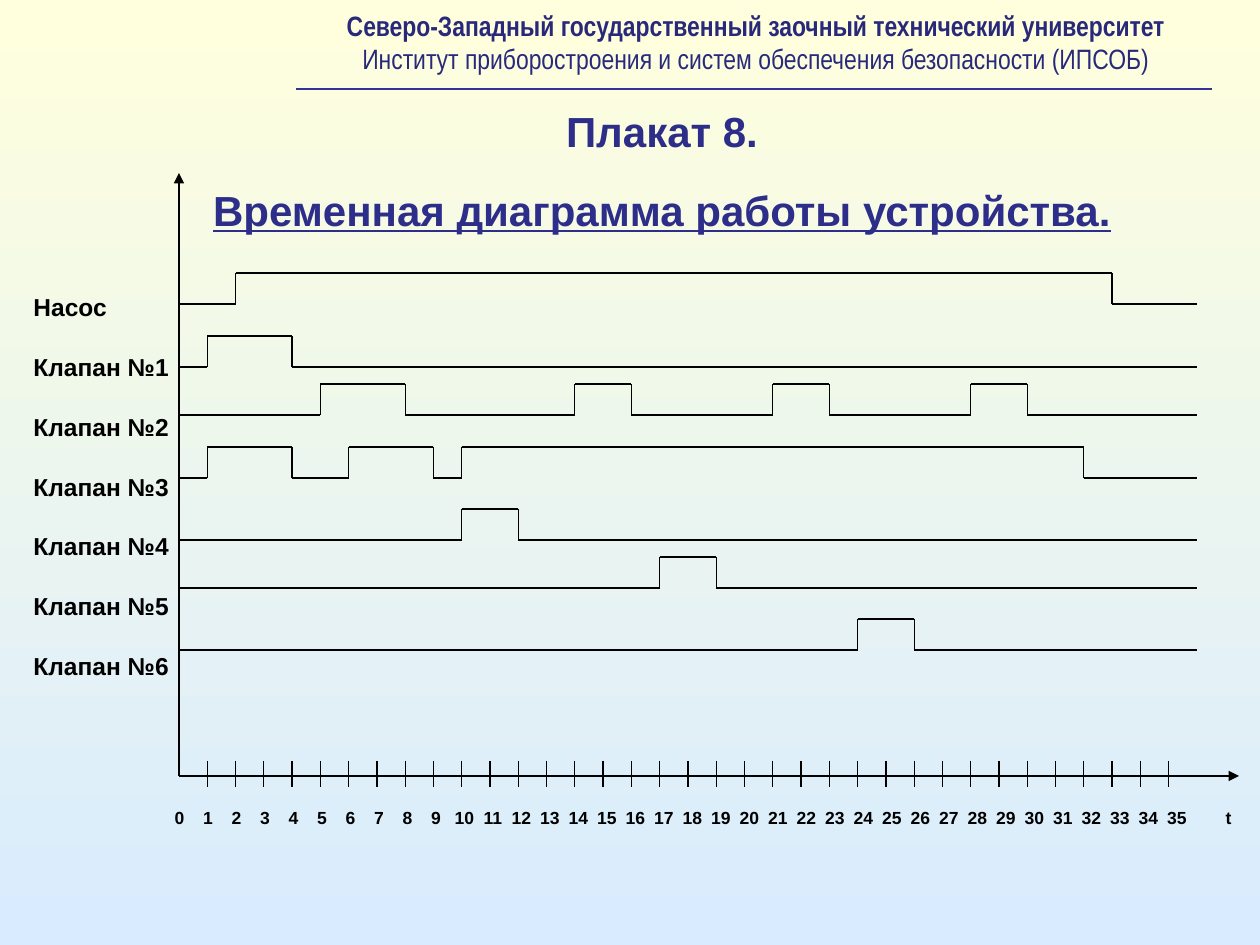
from itertools import pairwise

from lxml import etree
from pptx import Presentation
from pptx import util as u
from pptx.dml import color
from pptx.enum import shapes, text
from pptx.oxml import ns

PX = 914400 // 126
COLORS = {"top": "FFFFDD", "bottom": "D9ECFF", "ink": "000000",
          "title": "2D2D8A", "header": "29297B", "rule": "333399"}
SIGNALS = [  # name, low level, intervals when switched on
    ("Насос", 131, [(2, 33)]),
    ("Клапан №1", 194, [(1, 4)]),
    ("Клапан №2", 242, [(5, 8), (14, 16), (21, 23), (28, 30)]),
    ("Клапан №3", 305, [(1, 4), (6, 9), (10, 32)]),
    ("Клапан №4", 367, [(10, 12)]),
    ("Клапан №5", 415, [(17, 19)]),
    ("Клапан №6", 477, [(24, 26)]),
]
END = 36  # time at which every signal stops
PULSE = 31  # height of a pulse


def px(value):
    return u.Emu(round(value * PX))


def rgb(name):
    return color.RGBColor.from_string(COLORS[name])


def add_line(container, start, end, ink="ink", arrow=False):
    line = container.shapes.add_connector(
        shapes.MSO_CONNECTOR.STRAIGHT, *map(px, (*start, *end)))
    line.line.color.rgb = rgb(ink)
    line.line.width = u.Pt(0.75)
    properties = line._element.spPr
    if arrow:
        etree.SubElement(properties.find(ns.qn("a:ln")), ns.qn("a:tailEnd"), type="triangle")
    etree.SubElement(properties, ns.qn("a:effectLst"))


def add_text(container, box, lines, size, ink, font="Arial", align="LEFT", gap=0, wrap=True):
    """Write lines of (text, bold, underline), with gap points between them."""
    frame = container.shapes.add_textbox(*map(px, box)).text_frame
    frame.word_wrap = wrap
    for index, (words, bold, underline) in enumerate(lines):
        paragraph = frame.add_paragraph() if index else frame.paragraphs[0]
        paragraph.alignment = text.PP_ALIGN[align]
        if index:
            paragraph.space_before = u.Pt(gap)
        run = paragraph.add_run()
        run.text = words
        run.font.name = font
        run.font.size = u.Pt(size)
        run.font.bold = bold
        run.font.underline = underline
        run.font.color.rgb = rgb(ink)
    return frame


def add_background(slide):
    fill = slide.background.fill
    fill.gradient()
    fill.gradient_angle = 270
    for stop, position, name in zip(fill.gradient_stops, (0, 1), ("top", "bottom")):
        stop.position = position
        stop.color.rgb = rgb(name)


def add_header(slide, left, top, width):
    group = slide.shapes.add_group_shape()
    lines = [
        ("Северо-Западный государственный заочный технический университет", True, False),
        ("Институт приборостроения и систем обеспечения безопасности (ИПСОБ)", False, False),
    ]
    add_text(group, (left + 36, top, 848, 81), lines, 16, "header",
             font="Arial Narrow", align="CENTER", wrap=False)
    add_line(group, (left, top + 87), (left + width, top + 87), "rule")


def add_title(slide, left, top, width, height):
    lines = [("Плакат 8.", True, False),
             ("Временная диаграмма работы устройства.", True, True)]
    add_text(slide, (left, top, width, height), lines, 24, "title", align="CENTER", gap=16.4)


def add_diagram(slide, left, top, width, height):
    """Draw axes, ticks and signals; the origin is the lower left corner."""
    group = slide.shapes.add_group_shape()
    base = top + height
    step = (width - 42) / END
    add_line(group, (left, base), (left, top), arrow=True)
    add_line(group, (left, base), (left + width, base), arrow=True)
    for time in range(1, END):
        x = left + time * step
        add_line(group, (x, base - 15), (x, base + 11))

    for _, level, pulses in SIGNALS:
        low = top + level
        points = [(left, low)]
        for on, off in pulses:
            start, stop = left + on * step, left + off * step
            points += [(start, low), (start, low - PULSE), (stop, low - PULSE), (stop, low)]
        points.append((left + END * step, low))
        for start, end in pairwise(points):
            add_line(group, start, end)


def add_signal_names(slide, left, top, width, height):
    lines = [(name, True, False) for name, _, _ in SIGNALS]
    add_text(slide, (left, top, width, height), lines, 14, "ink", gap=17.4)


def add_time_scale(slide, left, top, width, height):
    """Write the time values on one line, each centred on its own tab stop."""
    labels = [*map(str, range(END)), "t"]
    stops = [10 + 28.5 * time for time in range(END)] + [1059]
    words = "".join("\t" + label for label in labels)
    frame = add_text(slide, (left, top, width, height), [(words, True, False)], 10, "ink")
    properties = frame.paragraphs[0]._p.get_or_add_pPr()
    tabs = etree.SubElement(properties, ns.qn("a:tabLst"))
    for stop in stops:
        etree.SubElement(tabs, ns.qn("a:tab"), pos=str(px(stop)), algn="ctr")


def main():
    presentation = Presentation()
    presentation.slide_width, presentation.slide_height = px(1260), px(945)
    slide = presentation.slides.add_slide(presentation.slide_layouts[6])
    add_background(slide)
    add_diagram(slide, 179, 173, 1060, 603)
    add_signal_names(slide, 21, 286, 220, 440)
    add_time_scale(slide, 157, 801, 1103, 70)
    add_title(slide, 179, 99, 966, 140)
    add_header(slide, 296, 2, 916)
    presentation.save("out.pptx")


if __name__ == "__main__":
    main()
